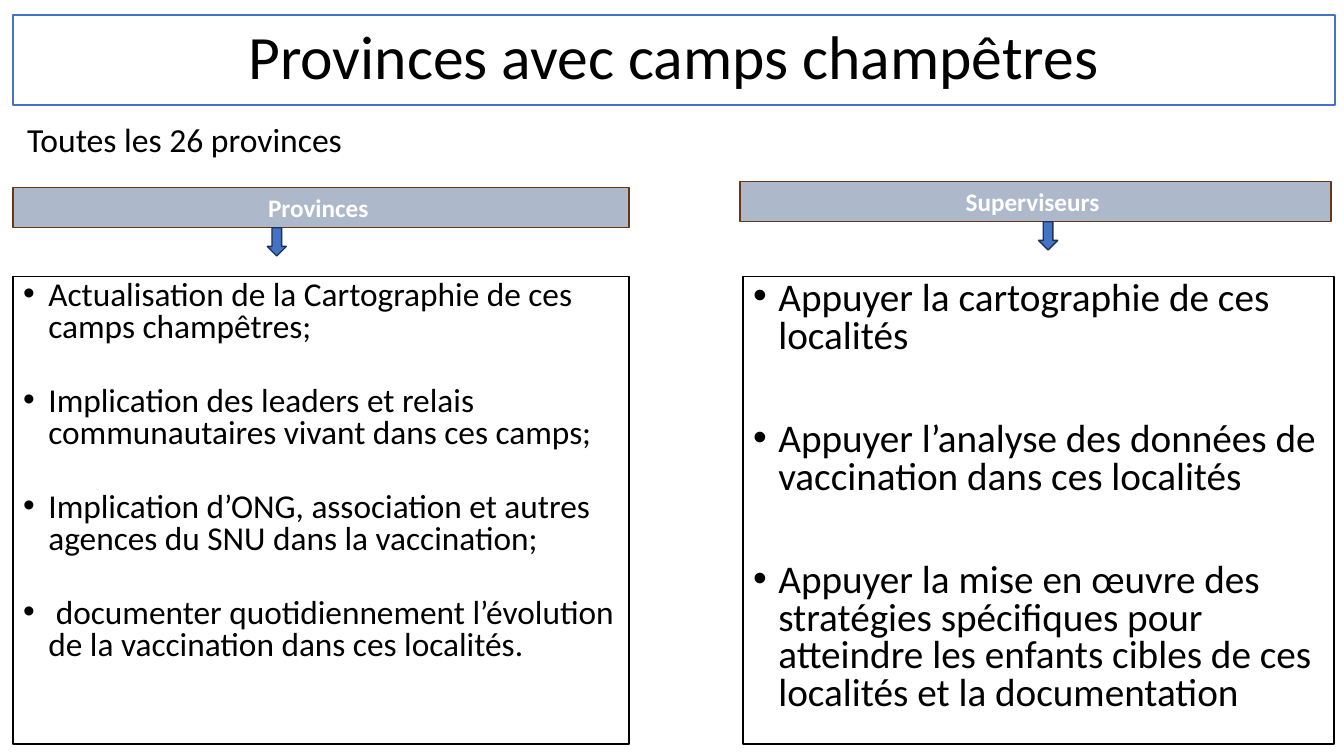
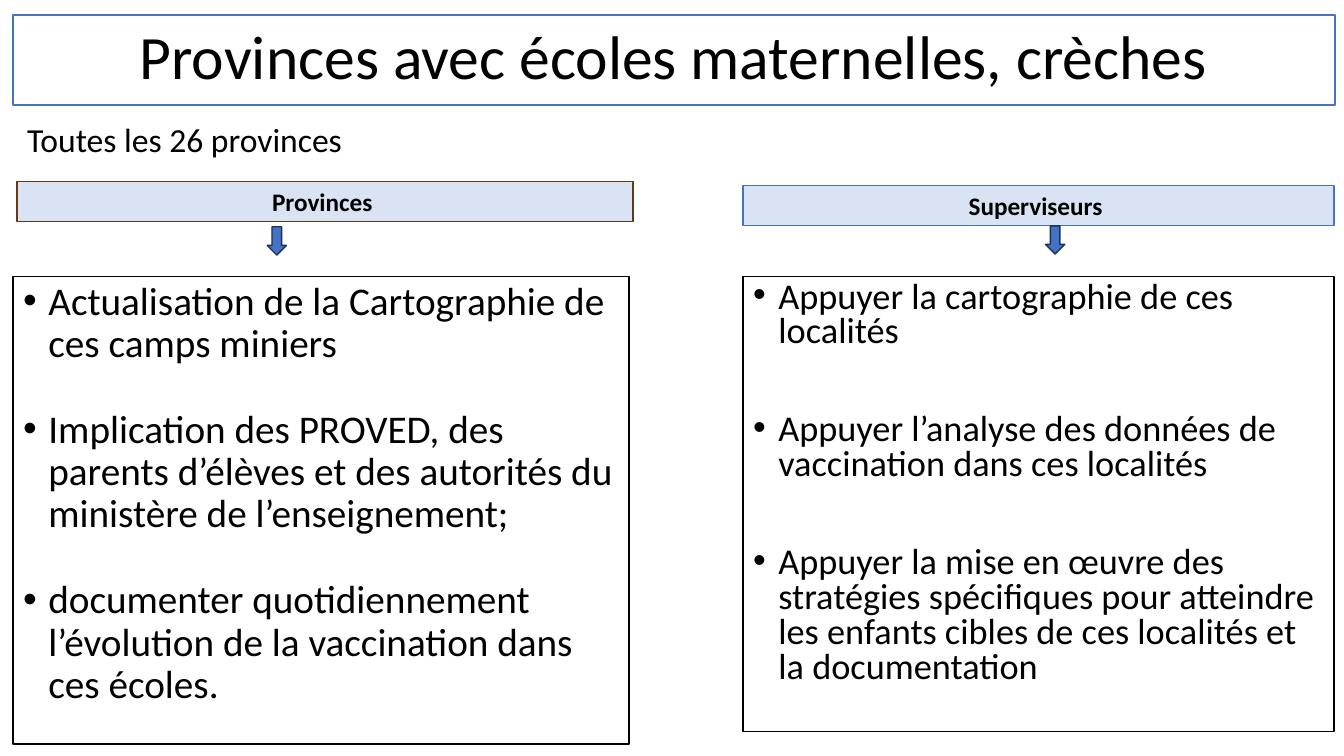
from pptx import Presentation
from pptx.dml.color import RGBColor
from pptx.enum import shapes, text
from pptx.util import Inches, Pt

BLACK = RGBColor(0x00, 0x00, 0x00)
WHITE = RGBColor(0xFF, 0xFF, 0xFF)
BLUE = RGBColor(0x44, 0x72, 0xC4)
NAVY = RGBColor(0x1E, 0x32, 0x56)
BROWN = RGBColor(0x68, 0x37, 0x15)
GREY_BLUE = RGBColor(0xAD, 0xB9, 0xCA)
PALE_BLUE = RGBColor(0xDA, 0xE3, 0xF3)

LEFT_W, RIGHT_W = 6.11, 5.86
LIST_TOP = 2.74
BAR_H = 0.4
ARROW_W, ARROW_H = 0.19, 0.28

SUPERVISOR_TASKS = [
    "Appuyer la cartographie de ces localités",
    "Appuyer l’analyse des données de vaccination dans ces localités",
    "Appuyer la mise en œuvre des stratégies spécifiques pour atteindre "
    "les enfants cibles de ces localités et la documentation",
]

# bar: left, top, line colour; arrow: left, top
# list: left, width, height, text size, line spacing, gap between items (pt)
SLIDES = [
    {
        "title": "Provinces avec camps champêtres",
        "bar_fill": GREY_BLUE, "bar_text": WHITE,
        "columns": [
            {"head": "Provinces ", "bar": (0.13, 1.86, BROWN), "arrow": (2.65, 2.26),
             "list": (0.13, LEFT_W, 4.64, 23.8, 0.8, 30),
             "items": [
                 "Actualisation de la Cartographie de ces camps champêtres;",
                 "Implication des leaders et relais communautaires vivant dans ces camps;",
                 "Implication d’ONG, association et autres agences du SNU dans la vaccination;",
                 " documenter quotidiennement l’évolution de la vaccination dans ces localités.",
             ]},
            {"head": "Superviseurs ", "bar": (7.34, 1.8, BROWN), "arrow": (10.3, 2.2),
             "list": (7.37, RIGHT_W, 4.64, 28, 0.8, 47),
             "items": SUPERVISOR_TASKS},
        ],
    },
    {
        "title": "Provinces avec écoles maternelles, crèches",
        "bar_fill": PALE_BLUE, "bar_text": BLACK,
        "columns": [
            {"head": "Provinces ", "bar": (0.17, 1.8, BROWN), "arrow": (2.65, 2.25),
             "list": (0.13, LEFT_W, 4.64, 28, 0.9, 31),
             "items": [
                 "Actualisation de la Cartographie de ces camps miniers",
                 "Implication des PROVED, des parents d’élèves et des autorités "
                 "du ministère de l’enseignement;",
                 "documenter quotidiennement l’évolution de la vaccination dans ces écoles.",
             ]},
            {"head": "Superviseurs ", "bar": (7.37, 1.84, BLUE), "arrow": (10.37, 2.24),
             "list": (7.37, RIGHT_W, 4.52, 25.9, 0.8, 45),
             "items": SUPERVISOR_TASKS},
        ],
    },
]


def style_box(sp, box, fill, line):
    sp.left, sp.top, sp.width, sp.height = (Inches(v) for v in box)
    sp.fill.solid()
    sp.fill.fore_color.rgb = fill
    sp.line.color.rgb = line
    sp.line.width = Pt(1)


def write(sp, lines, size, color=BLACK, bold=False, anchor=text.MSO_ANCHOR.TOP,
          align=text.PP_ALIGN.LEFT, spacing=1.0, gap=0):
    """Fill the shape with one paragraph per line, gap points apart."""
    tf = sp.text_frame
    frame_format = {"word_wrap": True, "auto_size": text.MSO_AUTO_SIZE.NONE,
                    "vertical_anchor": anchor}
    for name, value in frame_format.items():
        setattr(tf, name, value)
    for i, line in enumerate(lines):
        p = tf.paragraphs[0] if i == 0 else tf.add_paragraph()
        r = p.add_run()
        r.text = line
        p_format = {"alignment": align, "line_spacing": spacing,
                    "space_before": Pt(gap if i else 0), "space_after": Pt(0)}
        for name, value in p_format.items():
            setattr(p, name, value)
        font_format = {"name": "Calibri", "size": Pt(size), "bold": bold}
        for name, value in font_format.items():
            setattr(r.font, name, value)
        r.font.color.rgb = color


prs = Presentation()
prs.slide_width, prs.slide_height = Inches(13.33), Inches(7.5)
two_content = prs.slide_layouts[3]

for page in SLIDES:
    s = prs.slides.add_slide(two_content)
    title, *bodies = s.placeholders

    style_box(title, (0.13, 0.15, 13.11, 0.89), WHITE, BLUE)
    write(title, [page["title"]], 44, anchor=text.MSO_ANCHOR.MIDDLE,
          align=text.PP_ALIGN.CENTER, spacing=0.9)

    for body, column in zip(bodies, page["columns"]):
        left, width, height, size, spacing, gap = column["list"]
        style_box(body, (left, LIST_TOP, width, height), WHITE, BLACK)
        write(body, column["items"], size, spacing=spacing, gap=gap)
        for p in body.text_frame.paragraphs:
            pPr = p._p.get_or_add_pPr()
            pPr.set("marL", str(Inches(0.25)))
            pPr.set("indent", str(Inches(-0.25)))

        left, top, line = column["bar"]
        bar = s.shapes.add_shape(shapes.MSO_SHAPE.RECTANGLE, 0, 0, 0, 0)
        bar.shadow.inherit = False
        style_box(bar, (left, top, width, BAR_H), page["bar_fill"], line)
        write(bar, [column["head"]], 18, page["bar_text"], bold=True,
              align=text.PP_ALIGN.CENTER)

        arrow = s.shapes.add_shape(shapes.MSO_SHAPE.DOWN_ARROW, 0, 0, 0, 0)
        arrow.shadow.inherit = False
        style_box(arrow, (*column["arrow"], ARROW_W, ARROW_H), BLUE, NAVY)

    scope = s.shapes.add_textbox(Inches(0.17), Inches(1.18), Inches(13.06), Inches(0.67))
    write(scope, ["Toutes les 26 provinces"], 24, spacing=0.9)

prs.save("out.pptx")
